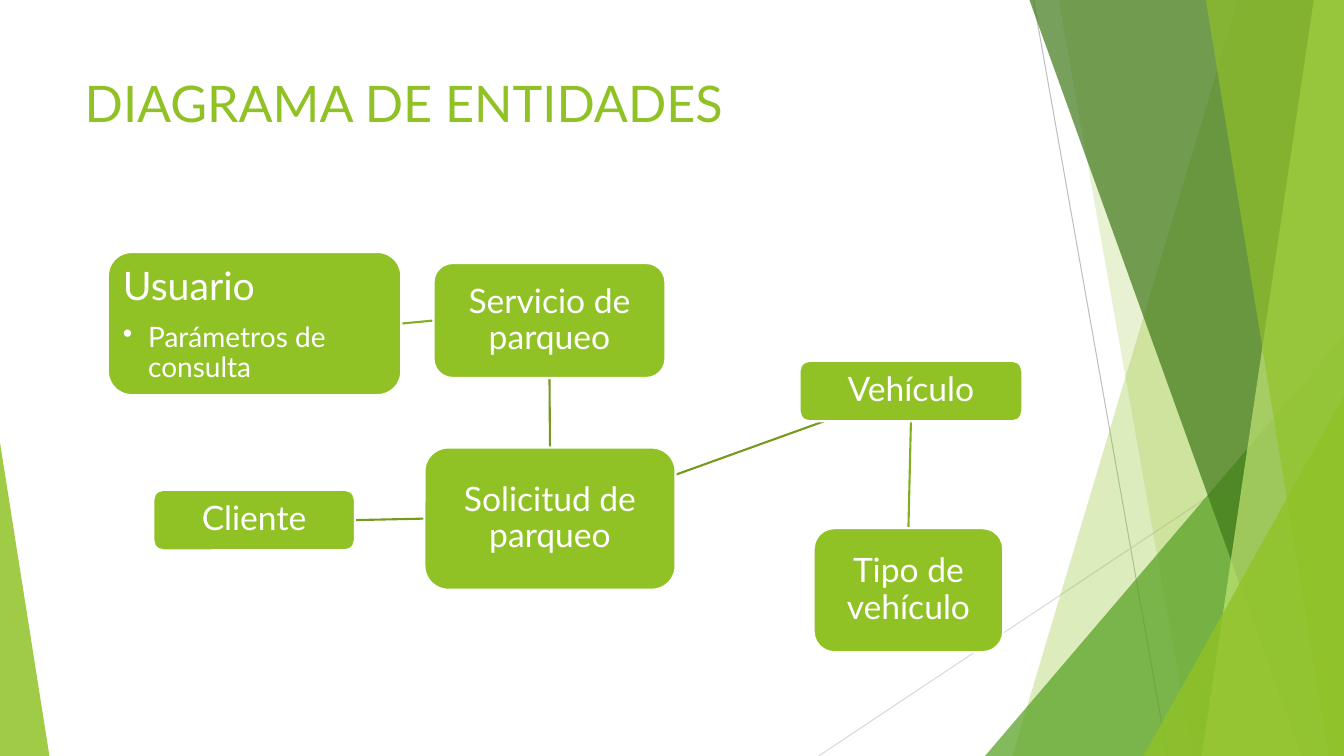
from dataclasses import dataclass

from pptx import Presentation
from pptx.dml.color import RGBColor
from pptx.enum.shapes import MSO_CONNECTOR as Connector, MSO_SHAPE as Preset
from pptx.enum.text import MSO_ANCHOR as Anchor, MSO_AUTO_SIZE as AutoSize, PP_ALIGN as Align
from pptx.oxml.ns import qn
from pptx.oxml.xmlchemy import OxmlElement
from pptx.util import Inches, Pt

WIDTH, HEIGHT = 13.33, 7.5
TOP, LEFT, BOTTOM, RIGHT = range(4)


@dataclass(frozen=True)
class Theme:
    font: str = "Lato"
    green: str = "90C226"
    grass: str = "54A021"
    forest: str = "3F7819"
    lime: str = "C0E474"
    dark_link: str = "739B1E"
    light_link: str = "83B022"
    gray: str = "BFBFBF"
    pale_gray: str = "D9D9D9"
    white: str = "FFFFFF"
    title_size: int = 36
    heading_size: int = 28
    entity_size: int = 24
    detail_size: int = 20
    hairline: float = 0.75
    stroke: float = 1.5


THEME = Theme()


@dataclass(frozen=True)
class Band:
    top_left: float
    bottom_right: float
    bottom_left: float
    color: str
    opacity: int
    top_right: float = WIDTH


@dataclass(frozen=True)
class Corner:
    left: float
    top: float
    width: float
    apex: float
    color: str
    opacity: int


@dataclass(frozen=True)
class Entity:
    name: str
    left: float
    top: float
    width: float
    height: float
    detail: str = ""


@dataclass(frozen=True)
class Link:
    start: str
    start_site: int
    end: str
    end_site: int
    color: str


DECORATION = [
    Band(12.28, WIDTH, 10.04, THEME.green, 30),
    Band(10.5, WIDTH, 11.83, THEME.green, 20),
    Corner(9.77, 3.33, 3.56, 1, THEME.grass, 72),
    Band(10.21, WIDTH, 12.91, THEME.forest, 70),
    Band(13.03, WIDTH, 11.92, THEME.lime, 70),
    Band(11.96, WIDTH, 13.18, THEME.green, 65),
    Corner(11.34, 3.93, 1.99, 1, THEME.green, 80),
    Corner(0, 4.39, 0.49, 0, THEME.green, 85),
]

ENTITIES = [
    Entity("Solicitud de parqueo", 4.21, 4.44, 2.49, 1.41),
    Entity("Servicio de parqueo", 4.3, 2.61, 2.3, 1.14),
    Entity("Usuario", 1.07, 2.5, 2.91, 1.42, "Parámetros de consulta"),
    Entity("Vehículo", 7.93, 3.58, 2.21, 0.6),
    Entity("Tipo de vehículo", 8.07, 5.24, 1.88, 1.23),
    Entity("Cliente", 1.52, 4.86, 2, 0.6),
]

LINKS = [
    Link("Solicitud de parqueo", LEFT, "Cliente", RIGHT, THEME.dark_link),
    Link("Solicitud de parqueo", TOP, "Servicio de parqueo", BOTTOM, THEME.dark_link),
    Link("Servicio de parqueo", LEFT, "Usuario", RIGHT, THEME.light_link),
    Link("Vehículo", BOTTOM, "Tipo de vehículo", TOP, THEME.light_link),
]


def paint(shape, color: str, opacity: int = 100) -> None:
    shape.shadow.inherit = False
    shape.fill.solid()
    shape.fill.fore_color.rgb = RGBColor.from_string(color)
    shape.line.fill.background()
    if opacity < 100:
        alpha = OxmlElement("a:alpha")
        alpha.set("val", str(opacity * 1000))
        shape.fill._xPr.find(qn("a:solidFill"))[0].append(alpha)


def draw_line(page, color: str, width: float, start=(0, 0), end=(0, 0)):
    ends = [Inches(value) for value in (*start, *end)]
    line = page.shapes.add_connector(Connector.STRAIGHT, *ends)
    line.line.color.rgb = RGBColor.from_string(color)
    line.line.width = Pt(width)
    line._element.spPr.append(OxmlElement("a:effectLst"))
    return line


def draw_band(page, band: Band) -> None:
    corners = [
        (band.top_left, 0), (band.top_right, 0),
        (band.bottom_right, HEIGHT), (band.bottom_left, HEIGHT),
    ]
    points = [(Inches(x), Inches(y)) for x, y in corners]
    outline = page.shapes.build_freeform(*points[0])
    outline.add_line_segments(points[1:], close=True)
    paint(outline.convert_to_shape(), band.color, band.opacity)


def draw_corner(page, corner: Corner) -> None:
    triangle = page.shapes.add_shape(
        Preset.ISOSCELES_TRIANGLE, Inches(corner.left), Inches(corner.top),
        Inches(corner.width), Inches(HEIGHT - corner.top))
    triangle.adjustments[0] = corner.apex
    paint(triangle, corner.color, corner.opacity)


def style(para, size: int, color: str, align=Align.LEFT) -> None:
    para.alignment = align
    for span in para.runs:
        span.font.name = THEME.font
        span.font.size = Pt(size)
        span.font.color.rgb = RGBColor.from_string(color)


def draw_entity(page, entity: Entity):
    box = page.shapes.add_shape(
        Preset.ROUNDED_RECTANGLE, Inches(entity.left), Inches(entity.top),
        Inches(entity.width), Inches(entity.height))
    paint(box, THEME.green)
    box.line.color.rgb = RGBColor.from_string(THEME.white)
    box.line.width = Pt(THEME.stroke)
    frame = box.text_frame
    frame.word_wrap = True
    inset = Inches(0.08 if entity.detail else 0.07)
    frame.margin_left = frame.margin_right = frame.margin_top = frame.margin_bottom = inset
    frame.vertical_anchor = Anchor.TOP if entity.detail else Anchor.MIDDLE
    frame.text = entity.name
    para = frame.paragraphs[0]
    para.line_spacing = 0.9
    if not entity.detail:
        style(para, THEME.entity_size, THEME.white, Align.CENTER)
        return box
    para.space_after = Pt(0.35 * THEME.heading_size)
    style(para, THEME.heading_size, THEME.white)
    item = frame.add_paragraph()
    item.text = entity.detail
    item.level = 1
    item.line_spacing = 0.9
    style(item, THEME.detail_size, THEME.white)
    properties = item._p.get_or_add_pPr()
    properties.set("marL", str(Inches(0.25)))
    properties.set("indent", str(Inches(-0.25)))
    bullet = OxmlElement("a:buChar")
    bullet.set("char", "•")
    properties.append(bullet)
    return box


deck = Presentation()
deck.slide_width, deck.slide_height = Inches(WIDTH), Inches(HEIGHT)
page = deck.slides.add_slide(deck.slide_layouts.get_by_name("Title Only"))

draw_line(page, THEME.gray, THEME.hairline, (10.25, 0), (11.58, HEIGHT))
draw_line(page, THEME.pale_gray, THEME.hairline, (WIDTH, 4.03), (8.12, HEIGHT))
for facet in DECORATION:
    if isinstance(facet, Band):
        draw_band(page, facet)
    else:
        draw_corner(page, facet)

title = page.shapes.title
title.left, title.top, title.width, title.height = map(Inches, (0.74, 0.67, 9.4, 1.44))
title.text_frame.text = "DIAGRAMA DE ENTIDADES"
title.text_frame.vertical_anchor = Anchor.TOP
title.text_frame.auto_size = AutoSize.NONE
style(title.text_frame.paragraphs[0], THEME.title_size, THEME.green)

draw_line(page, THEME.dark_link, THEME.stroke, (6.7, 4.71), (8.2, 4.17))
lines = [draw_line(page, link.color, THEME.stroke) for link in LINKS]
boxes = {entity.name: draw_entity(page, entity) for entity in ENTITIES}
for link, line in zip(LINKS, lines):
    line.begin_connect(boxes[link.start], link.start_site)
    line.end_connect(boxes[link.end], link.end_site)

deck.save("out.pptx")
